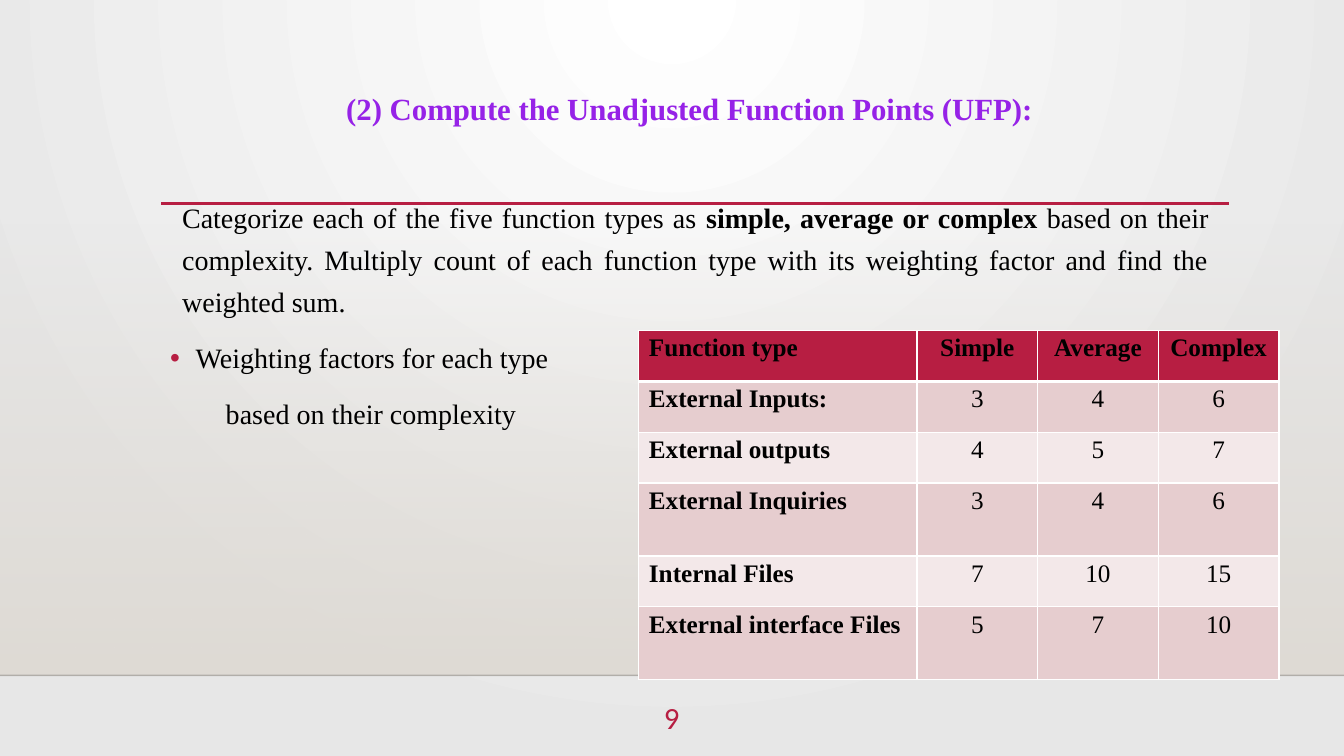
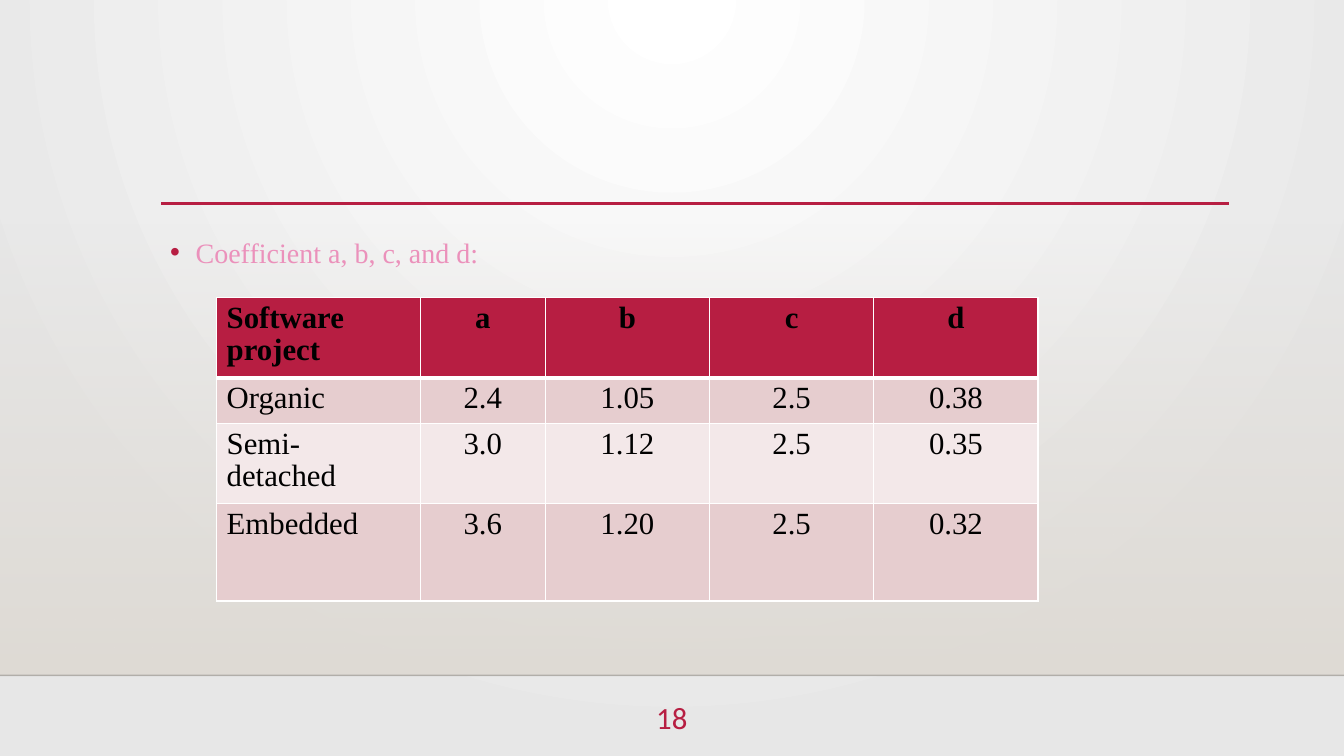
from lxml.etree import SubElement
from pptx import Presentation
from pptx.dml.color import RGBColor
from pptx.enum.shapes import MSO_CONNECTOR, MSO_SHAPE
from pptx.enum.text import PP_ALIGN as Align
from pptx.oxml.ns import qn
from pptx.util import Cm, Pt

# Shared look
CRIMSON = RGBColor(0xB7, 0x1E, 0x42)
PURPLE = RGBColor(0x96, 0x22, 0xE7)
PINK = RGBColor(0xEB, 0x91, 0xBB)
BLACK = RGBColor(0, 0, 0)
WHITE = RGBColor(0xFF, 0xFF, 0xFF)
PALE_GREY = RGBColor(0xE7, 0xE7, 0xE7)
STONE = RGBColor(0xDF, 0xDB, 0xD5)
ROW_FILLS = (RGBColor(0xE6, 0xCD, 0xCF), RGBColor(0xF3, 0xE8, 0xE9))
SERIF = "Times New Roman"
SANS = "Calibri"

SLIDE_WIDTH, SLIDE_HEIGHT = 33.87, 19.05
BAND_TOP, BAND_BOTTOM = 5.61, 17.02
TEXT_LEFT, TEXT_WIDTH = 4.04, 26.67

FUNCTION_WEIGHTS = [
    ("Function type", "Simple", "Average", "Complex"),
    ("External Inputs:", "3", "4", "6"),
    ("External outputs", "4", "5", "7"),
    ("External Inquiries", "3", "4", "6"),
    ("Internal Files", "7", "10", "15"),
    ("External interface Files", "5", "7", "10"),
]
COEFFICIENTS = [
    ("Software project", "a", "b", "c", "d"),
    ("Organic", "2.4", "1.05", "2.5", "0.38"),
    ("Semi- detached", "3.0", "1.12", "2.5", "0.35"),
    ("Embedded", "3.6", "1.20", "2.5", "0.32"),
]


def set_alpha(fill_parent, percent):
    """Make the first colour under an element partly transparent."""
    colour = next(fill_parent.iter(qn("a:srgbClr")))
    SubElement(colour, qn("a:alpha"), val=str(percent * 1000))


def set_gradient(fill, first, last):
    fill.gradient()
    for stop, colour, position in zip(fill.gradient_stops, (first, last), (0, 1)):
        stop.color.rgb = colour
        stop.position = position


def add_line(slide, left, right, top, colour, width):
    line = slide.shapes.add_connector(
        MSO_CONNECTOR.STRAIGHT, Cm(left), Cm(top), Cm(right), Cm(top))
    line.line.color.rgb = colour
    line.line.width = Pt(width)
    SubElement(line.element.spPr, qn("a:effectLst"))
    return line


def format_runs(paragraph, size, colour, font=SERIF, bold=False):
    for run in paragraph.runs:
        run.font.name = font
        run.font.size = Pt(size)
        run.font.color.rgb = colour
        run.font.bold = bold


def add_text_box(slide, left, top, width, height):
    text_frame = slide.shapes.add_textbox(
        Cm(left), Cm(top), Cm(width), Cm(height)).text_frame
    text_frame.word_wrap = True
    return text_frame


def format_body(paragraph, colour=BLACK, size=20, indent=0, bullet=False):
    paragraph.line_spacing = 1.25
    paragraph.space_before = Pt(10)
    format_runs(paragraph, size, colour)
    properties = paragraph._p.get_or_add_pPr()
    properties.set("marL", str(Cm(0.64 if bullet else indent)))
    properties.set("indent", str(Cm(-0.64 if bullet else 0)))
    if bullet:
        bullet_colour = SubElement(properties, qn("a:buClr"))
        SubElement(bullet_colour, qn("a:srgbClr"), val=str(CRIMSON))
        SubElement(properties, qn("a:buFont"), typeface="Arial")
        SubElement(properties, qn("a:buChar"), char="•")


def add_backdrop(slide):
    # Radial glow from the top centre
    set_gradient(slide.background.fill, WHITE, PALE_GREY)
    gradient = next(slide.element.iter(qn("a:gradFill")))
    for linear in gradient.findall(qn("a:lin")):
        gradient.remove(linear)
    glow = SubElement(gradient, qn("a:path"))
    glow.set("path", "circle")
    SubElement(glow, qn("a:fillToRect"), l="43000", t="0", r="43000", b="100000")

    # Stone band fading in downwards
    band = slide.shapes.add_shape(
        MSO_SHAPE.RECTANGLE, 0, Cm(BAND_TOP), Cm(SLIDE_WIDTH), Cm(BAND_BOTTOM - BAND_TOP))
    band.shadow.inherit = False
    band.line.fill.background()
    set_gradient(band.fill, STONE, STONE)
    band.fill.gradient_angle = 270
    set_alpha(band.element.spPr, 0)

    # Floor line and title rule
    floor = add_line(slide, 0, SLIDE_WIDTH, BAND_BOTTOM, BLACK, 1)
    set_alpha(floor.element.spPr, 20)
    add_line(slide, 4.06, 30.96, 5.13, CRIMSON, 2.5)


def add_page_number(slide, number):
    paragraph = add_text_box(slide, 15.8, 17.48, 2.26, 1.4).paragraphs[0]
    paragraph.text = str(number)
    paragraph.alignment = Align.CENTER
    format_runs(paragraph, 22, CRIMSON, SANS)


def set_borders(cell, top, bottom):
    properties = cell._tc.get_or_add_tcPr()
    for side, width in (("L", 1), ("R", 1), ("T", top), ("B", bottom)):
        border = SubElement(properties, qn(f"a:ln{side}"), w=str(Pt(width)))
        fill = SubElement(border, qn("a:solidFill"))
        SubElement(fill, qn("a:srgbClr"), val=str(WHITE))


def add_data_table(slide, left, top, widths, heights, rows, size, bold_labels=False):
    table = slide.shapes.add_table(
        len(rows), len(widths), Cm(left), Cm(top),
        Cm(sum(widths)), Cm(sum(heights))).table
    for column, width in zip(table.columns, widths):
        column.width = Cm(width)
    for row_index, (values, height) in enumerate(zip(rows, heights)):
        table.rows[row_index].height = Cm(height)
        header = row_index == 0
        for column_index, value in enumerate(values):
            label = column_index == 0
            cell = table.cell(row_index, column_index)
            set_borders(cell, 3 if row_index == 1 else 1, 3 if header else 1)
            cell.fill.solid()
            cell.fill.fore_color.rgb = CRIMSON if header else ROW_FILLS[(row_index - 1) % 2]
            paragraph = cell.text_frame.paragraphs[0]
            paragraph.text = value
            paragraph.alignment = Align.LEFT if label else Align.CENTER
            paragraph.line_spacing = 0.95
            format_runs(paragraph, size, BLACK, bold=header or (label and bold_labels))


def add_slide(presentation, number):
    slide = presentation.slides.add_slide(presentation.slide_layouts[6])
    add_backdrop(slide)
    add_page_number(slide, number)
    return slide


def build_function_points(presentation):
    slide = add_slide(presentation, 9)

    # Title
    title = add_text_box(slide, TEXT_LEFT, 1.9, TEXT_WIDTH, 1.6).paragraphs[0]
    title.text = "(2) Compute the Unadjusted Function Points (UFP):"
    title.alignment = Align.CENTER
    format_body(title, PURPLE, 22)
    title.runs[0].font.bold = True

    # Explanation
    text_frame = add_text_box(slide, TEXT_LEFT, 4.72, TEXT_WIDTH, 6.4)
    explanation = text_frame.paragraphs[0]
    for part in (
        "Categorize each of the five function types as ",
        "simple, average or complex ",
        "based on their complexity. Multiply count of each function type "
        "with its weighting factor and find the weighted sum.",
    ):
        explanation.add_run().text = part
    explanation.alignment = Align.JUSTIFY
    format_body(explanation, indent=0.3)
    explanation.runs[1].font.bold = True

    factors = text_frame.add_paragraph()
    factors.text = "Weighting factors for each type"
    format_body(factors, bullet=True)
    basis = text_frame.add_paragraph()
    basis.text = "based on their complexity"
    format_body(basis, indent=1.4)

    # Weights
    add_data_table(slide, 16.1, 8.33, [7.01] + [3.04] * 3,
                   [1.28, 1.28, 1.28, 1.84, 1.28, 1.84],
                   FUNCTION_WEIGHTS, 18, bold_labels=True)


def build_coefficients(presentation):
    slide = add_slide(presentation, 18)
    caption = add_text_box(slide, TEXT_LEFT, 5.59, TEXT_WIDTH, 1.5).paragraphs[0]
    caption.text = "Coefficient a, b, c, and d:"
    format_body(caption, PINK, bullet=True)
    add_data_table(slide, 5.46, 7.5, [5.13, 3.15] + [4.14] * 3,
                   [1.96, 1.11, 1.98, 2.46], COEFFICIENTS, 22)


def main():
    presentation = Presentation()
    presentation.slide_width = Cm(SLIDE_WIDTH)
    presentation.slide_height = Cm(SLIDE_HEIGHT)
    build_function_points(presentation)
    build_coefficients(presentation)
    presentation.save("out.pptx")


if __name__ == "__main__":
    main()
